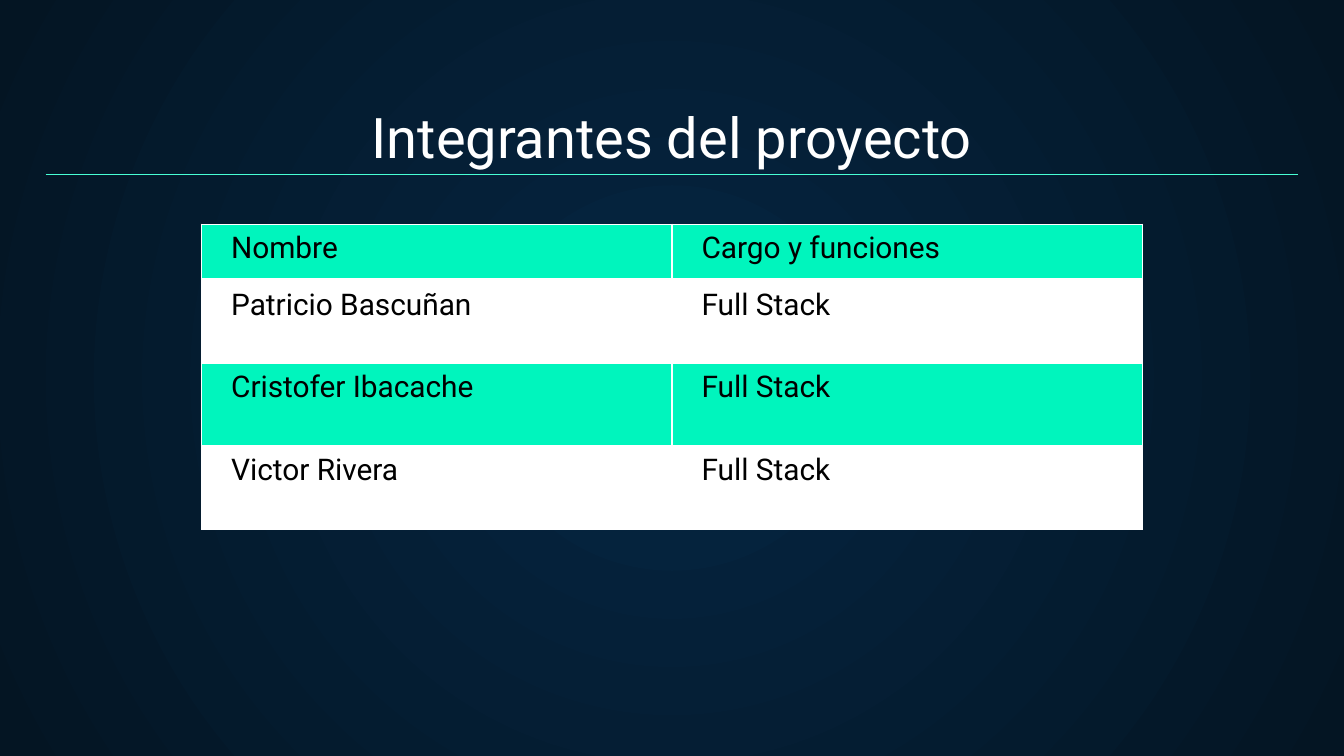
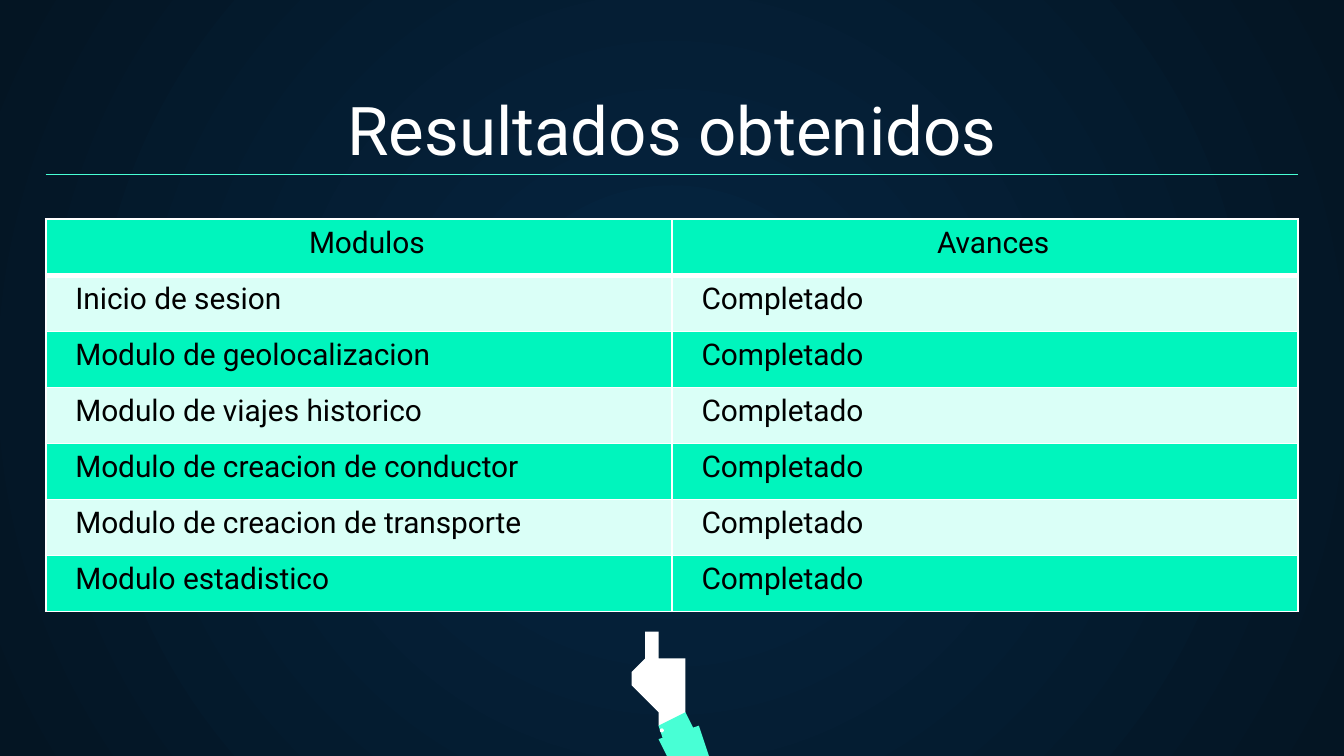
from lxml import etree
from pptx import Presentation
from pptx.dml.color import RGBColor
from pptx.enum.shapes import MSO_CONNECTOR as CONN, MSO_SHAPE as SHAPE
from pptx.enum.text import MSO_ANCHOR as ANCHOR, PP_ALIGN as ALIGN
from pptx.oxml import parse_xml
from pptx.oxml.ns import nsdecls, qn
from pptx.util import Inches, Pt

UNIT = Inches(0.1)  # side of one grid square
COLS, ROWS = 100, 56.25
MARGIN = 3.4
FONT = "Roboto"
WHITE, BLACK = "FFFFFF", "000000"
GLOW, NIGHT = "052643", "041523"
AQUA, MINT, PALE = "48FFD5", "00F5BD", "DAFFF7"

MEMBERS = [
    ("Nombre", "Cargo y funciones"),
    ("Patricio Bascuñan", "Full Stack"),
    ("Cristofer Ibacache", "Full Stack"),
    ("Victor Rivera", "Full Stack"),
]
MODULES = [
    "Inicio de sesion",
    "Modulo de geolocalizacion",
    "Modulo de viajes historico",
    "Modulo de creacion de conductor",
    "Modulo de creacion de transporte",
    "Modulo estadistico",
]
HAND = [
    (48.6, 46.9), (48.4, 47), (48.3, 47.4), (48.3, 50.4), (47.9, 50),
    (47.9, 49.3), (47.7, 48.7), (47.5, 48.7), (47.1, 49.7), (47.3, 50.7),
    (47.7, 51.6), (48.1, 52.1), (48.8, 53), (49.1, 53.6), (49.3, 54.4),
    (49.5, 54.6), (51.4, 53.6), (51.4, 53.5), (51.1, 52.8), (51.1, 52.4),
    (51.4, 52), (51.4, 49.7), (51.2, 49.3), (51, 49.2), (50.7, 49.3),
    (50.3, 49.2), (49.9, 49.3), (49.5, 49.2), (49, 49.3), (49, 47.4),
    (48.8, 46.9),
]
CUFF = [(51.4, 52.8), (48.8, 53.9), (49.9, 57), (53.1, 57)]
SLEEVE = [(51.9, 53.6), (49, 54.9), (49.8, 57.1), (53.3, 57.1)]


def rgb(code):
    return RGBColor.from_string(code)


def grid(*squares):
    return [round(n * UNIT) for n in squares]


def apply(obj, formats):
    for name, value in formats.items():
        setattr(obj, name, value)


class Deck:
    def __init__(self):
        self.prs = Presentation()
        self.prs.slide_width, self.prs.slide_height = grid(COLS, ROWS)
        self.s = None

    def style_run(self, r, size, color):
        apply(r.font, {"name": FONT, "size": Pt(size), "bold": False})
        r.font.color.rgb = rgb(color)

    def slide(self, title, size):
        self.s = self.prs.slides.add_slide(self.prs.slide_layouts[5])
        self.background()
        sp = self.s.shapes.title
        left, top, width, height = grid(MARGIN, 7, COLS - 2 * MARGIN, 6.6)
        apply(sp, {"left": left, "top": top, "width": width, "height": height})
        tf = sp.text_frame
        inset = Inches(0.1)
        apply(tf, {"vertical_anchor": ANCHOR.BOTTOM, "word_wrap": True,
                   "margin_left": inset, "margin_right": inset,
                   "margin_top": inset, "margin_bottom": inset})
        p = tf.paragraphs[0]
        p.alignment = ALIGN.CENTER
        r = p.add_run()
        r.text = title
        self.style_run(r, size, WHITE)
        self.rule(13)

    def background(self):
        """Radial gradient, lighter in the middle of the slide."""
        fill = self.s.background.fill
        fill.gradient()
        for stop, color, position in zip(fill.gradient_stops, (GLOW, NIGHT), (0, 1)):
            stop.color.rgb = rgb(color)
            stop.position = position
        lin = next(self.s.background._cSld.iter(qn("a:lin")))
        lin.getparent().replace(lin, parse_xml(
            f'<a:path {nsdecls("a")} path="circle">'
            '<a:fillToRect l="50000" t="50000" r="50000" b="50000"/></a:path>'))

    def rule(self, row):
        line = self.s.shapes.add_connector(
            CONN.STRAIGHT, *grid(MARGIN, row, COLS - MARGIN, row))
        line.line.color.rgb = rgb(AQUA)
        line.line.width = Pt(0.75)
        etree.SubElement(line._element.spPr, qn("a:effectLst"))

    def paint(self, sp, color):
        sp.shadow.inherit = False
        sp.fill.solid()
        sp.fill.fore_color.rgb = rgb(color)
        sp.line.fill.background()

    def outline(self, points, color):
        builder = self.s.shapes.build_freeform(*points[0], scale=UNIT)
        builder.add_line_segments(points[1:], close=True)
        self.paint(builder.convert_to_shape(), color)

    def dot(self, left, top, size, color):
        self.paint(self.s.shapes.add_shape(
            SHAPE.OVAL, *grid(left, top, size, size)), color)

    def borders(self, cell, row):
        """White edges, thicker between the header and the body."""
        tcPr = cell._tc.get_or_add_tcPr()
        thick = {("B", 0), ("T", 1)}
        for side in "LRTB":
            width = Pt(3 if (side, row) in thick else 1)
            tcPr.append(parse_xml(
                f'<a:ln{side} {nsdecls("a")} w="{width}"><a:solidFill>'
                f'<a:srgbClr val="{WHITE}"/></a:solidFill></a:ln{side}>'))

    def table(self, data, left, top, row_height, band, header_align=ALIGN.LEFT):
        header_height = 4.2
        width = COLS - 2 * left
        height = header_height + row_height * (len(data) - 1)
        table = self.s.shapes.add_table(
            len(data), len(data[0]), *grid(left, top, width, height)).table
        apply(table, {"first_row": False, "horz_banding": False})
        for column in table.columns:
            column.width = grid(width / len(data[0]))[0]
        for i, texts in enumerate(data):
            table.rows[i].height = grid(row_height if i else header_height)[0]
            for j, text in enumerate(texts):
                cell = table.cell(i, j)
                self.borders(cell, i)
                cell.fill.solid()
                cell.fill.fore_color.rgb = rgb(band if i % 2 else MINT)
                p = cell.text_frame.paragraphs[0]
                p.alignment = ALIGN.LEFT if i else header_align
                pPr = p._p.get_or_add_pPr()
                pPr.set("marL", str(Inches(0.5)))
                pPr.set("indent", str(Inches(-0.38)))
                r = p.add_run()
                r.text = text
                self.style_run(r, 16, BLACK)


def main():
    deck = Deck()

    deck.slide("Integrantes del proyecto", 30)
    deck.table(MEMBERS, left=15, top=16.7, row_height=6.15, band=WHITE)

    deck.slide("Resultados obtenidos", 36)
    for points, color in ((HAND, WHITE), (CUFF, AQUA), (SLEEVE, AQUA)):
        deck.outline(points, color)
    deck.dot(49.1, 54.2, 0.3, WHITE)
    progress = [("Modulos", "Avances")] + [(name, "Completado") for name in MODULES]
    deck.table(progress, left=MARGIN, top=16.3, row_height=4.17, band=PALE,
               header_align=ALIGN.CENTER)

    deck.prs.save("out.pptx")


if __name__ == "__main__":
    main()
